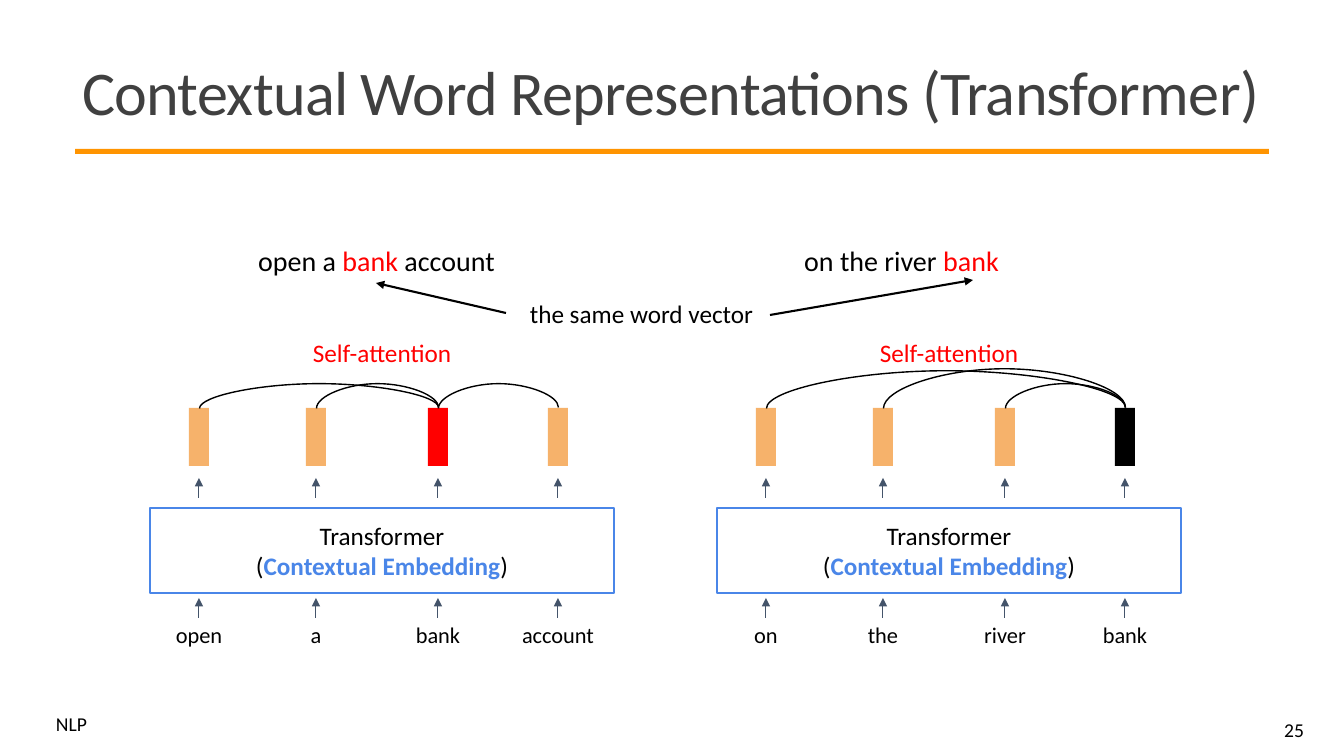
from lxml import etree
from pptx import Presentation
from pptx.dml.color import RGBColor
from pptx.enum import shapes, text
from pptx.oxml import ns
from pptx.util import Emu, Pt

PX = 914400 / 100.8
BLACK = RGBColor(0, 0, 0)
RED = RGBColor(0xFF, 0, 0)
BLUE = RGBColor(0x4A, 0x86, 0xE8)
SLATE = RGBColor(0x44, 0x54, 0x6A)
GRAY = RGBColor(0x40, 0x40, 0x40)
SAND = RGBColor(0xF6, 0xB2, 0x6B)
ORANGE = RGBColor(0xFF, 0x94, 0)
LEFT, MID, RIGHT = text.PP_ALIGN.LEFT, text.PP_ALIGN.CENTER, text.PP_ALIGN.RIGHT

deck = Presentation()
deck.slide_width, deck.slide_height = Emu(round(1344 * PX)), Emu(round(756 * PX))
slide = deck.slides.add_slide(deck.slide_layouts[5])
tree = slide.shapes


def write(shape, lines, size, align=MID, anchor=text.MSO_ANCHOR.TOP):
    """Fill a shape with lines, each a list of (words, colour, bold) runs."""
    frame = shape.text_frame
    frame.word_wrap = True
    frame.auto_size = text.MSO_AUTO_SIZE.NONE
    frame.vertical_anchor = anchor
    for i, line in enumerate(lines):
        para = frame.add_paragraph() if i else frame.paragraphs[0]
        para.alignment = align
        for words, color, bold in line:
            run = para.add_run()
            run.text = words
            run.font.name = "Calibri"
            run.font.size = Pt(size)
            run.font.bold = bold
            run.font.color.rgb = color
    return frame


def link(kind, ends, color, width, head=True):
    line = tree.add_connector(kind, *[Emu(round(v * PX)) for v in ends])
    line.line.color.rgb = color
    line.line.width = Pt(width)
    if head:
        etree.SubElement(line.line._get_or_add_ln(), ns.qn("a:tailEnd"), type="triangle")
    etree.SubElement(line._element.spPr, ns.qn("a:effectLst"))
    return line


# Title
title = tree.title
title.left, title.top, title.width, title.height = [
    Emu(round(v * PX)) for v in (72, 39, 1203, 114)]
head = write(title, [[("Contextual Word Representations (Transformer)", GRAY, False)]],
             44.4, LEFT, text.MSO_ANCHOR.MIDDLE).paragraphs[0]
head.line_spacing = 0.85
head.runs[0].font._element.set("spc", "-50")

# Filled bars: the title rule and the word vectors of both sentences
GAP = 567
COLS = [199, 316, 438, 558]
sides = [(0, ["open", "a", "bank", "account"], 2, RED),
         (GAP, ["on", "the", "river", "bank"], 3, BLACK)]
bars = [(75, 149, 1194, 5, ORANGE)]
for dx, words, focus, color in sides:
    for i, col in enumerate(COLS):
        bars.append((dx + col - 10, 408, 20, 58, color if i == focus else SAND))
for *area, color in bars:
    bar = tree.add_shape(shapes.MSO_SHAPE.RECTANGLE, *[Emu(round(v * PX)) for v in area])
    bar.shadow.inherit = False
    bar.fill.solid()
    bar.fill.fore_color.rgb = color
    bar.line.fill.background()

# Transformer boxes
for dx, *rest in sides:
    box = tree.add_shape(shapes.MSO_SHAPE.RECTANGLE,
                         *[Emu(round(v * PX)) for v in (150 + dx, 508, 464, 85)])
    box.shadow.inherit = False
    box.fill.background()
    box.line.color.rgb = BLUE
    box.line.width = Pt(1.5)
    write(box, [[("Transformer", BLACK, False)],
                [("(", BLACK, False), ("Contextual Embedding", BLUE, True),
                 (")", BLACK, False)]], 18, MID, text.MSO_ANCHOR.MIDDLE)

# Labels: left, top, width, height, size, alignment, runs
labels = [
    (46, 711, 62, 29, 14, LEFT, [("NLP", BLACK)]),
    (1170, 713, 144, 30, 14, RIGHT, [("25", BLACK)]),
    (233, 239, 287, 44, 20, MID, [("open a ", BLACK), ("bank", RED), (" account", BLACK)]),
    (770, 239, 263, 44, 20, MID, [("on the river ", BLACK), ("bank", RED)]),
    (520, 293, 263, 40, 18, LEFT, [("the same word vector", BLACK)]),
]
for dx, words, *rest in sides:
    labels.append((300 + dx, 332, 164, 40, 18, MID, [("Self-attention", RED)]))
    for word, col in zip(words, COLS):
        labels.append((dx + col - 49, 616, 98, 37, 16, MID, [(word, BLACK)]))
for *area, size, align, runs in labels:
    label = tree.add_textbox(*[Emu(round(v * PX)) for v in area])
    frame = write(label, [[(words, color, False) for words, color in runs]], size, align)
    if size == 14 and align == LEFT:
        frame.paragraphs[0].line_spacing = 0.8

# Straight arrows
STRAIGHT, CURVE = shapes.MSO_CONNECTOR.STRAIGHT, shapes.MSO_CONNECTOR.CURVE
for dx, *rest in sides:
    for col in COLS:
        for foot in (618, 498):
            link(STRAIGHT, (dx + col, foot, dx + col, foot - 20), SLATE, 0.75)
for ends in ((506, 313, 376, 283), (770, 315, 973, 280)):
    link(STRAIGHT, ends, BLACK, 1.5)

# Attention arcs: side offset, from column, to column, rise
arcs = [(0, 1, 2, 25), (0, 0, 2, 25), (0, 2, 3, 25),
        (GAP, 0, 3, 38), (GAP, 1, 3, 40), (GAP, 2, 3, 25)]
for dx, a, b, rise in arcs:
    mid = dx + (COLS[a] + COLS[b]) / 2
    half = (COLS[b] - COLS[a]) / 2
    # One px wide before a quarter turn, so the bend factor equals the rise
    arc = link(CURVE, (mid + 1, 408 + half, mid, 408 - half), BLACK, 1, False)
    props = arc._element.spPr
    props.find(ns.qn("a:xfrm")).set("rot", "5400000")
    bends = props.find(ns.qn("a:prstGeom")).get_or_add_avLst()
    etree.SubElement(bends, ns.qn("a:gd"), name="adj1", fmla=f"val {rise * 100000}")

deck.save("out.pptx")
